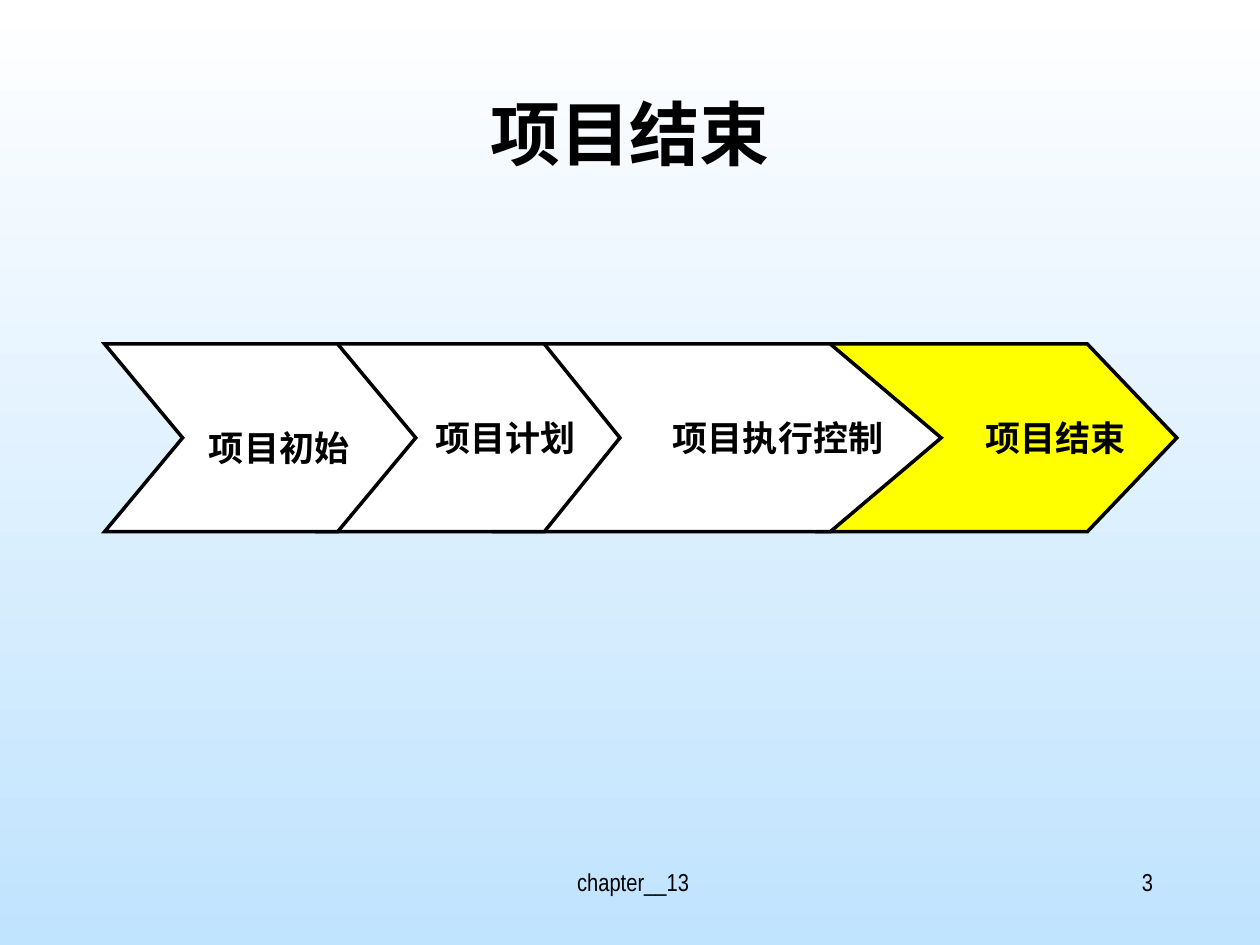
from dataclasses import dataclass

from lxml import etree
from pptx import Presentation
from pptx import util as u
from pptx.dml.color import RGBColor
from pptx.enum import text
from pptx.oxml.ns import qn


@dataclass(frozen=True)
class Theme:
    ink: RGBColor = RGBColor(0, 0, 0)
    plain: RGBColor = RGBColor(255, 255, 255)
    current: RGBColor = RGBColor(255, 255, 0)
    sky: RGBColor = RGBColor(0xC0, 0xE3, 0xFE)
    latin: str = "Arial Narrow"
    chinese: str = "Noto Sans CJK SC"
    title_size: int = 40
    stage_size: int = 20
    footer_size: int = 14
    line_width: float = 2


@dataclass(frozen=True)
class Stage:
    label: str
    left: float
    width: float
    notch: float
    shift: float  # how far the label sits right of the centre
    drop: float = 0  # how far it sits below the middle
    current: bool = False


THEME = Theme()
ROW_TOP, ROW_HEIGHT = 2.73, 1.49
STAGES = [
    Stage("项目初始", 0.83, 2.47, 0.62, 0.15, drop=0.08),
    Stage("项目计划", 2.53, 2.39, 0.6, 0.29),
    Stage("项目执行控制", 3.94, 3.53, 0.88, 0.47),
    Stage("项目结束", 6.5, 2.84, 0.71, 0.46, current=True),
]


def write(shape, words: str, size: int, align, anchor, font: str, bold: bool = False) -> None:
    frame = shape.text_frame
    frame.text = words
    frame.word_wrap = True
    frame.vertical_anchor = anchor
    para = frame.paragraphs[0]
    para.alignment = align
    span = para.runs[0]
    span.font.size = u.Pt(size)
    span.font.bold = bold
    span.font.color.rgb = THEME.ink
    span.font.name = font
    east_asian = etree.SubElement(span.font._element, qn("a:ea"))
    east_asian.set("typeface", THEME.chinese)


def place(shape, left: float, top: float, width: float, height: float) -> None:
    shape.left, shape.top = u.Inches(left), u.Inches(top)
    shape.width, shape.height = u.Inches(width), u.Inches(height)


def draw_background(page) -> None:
    fill = page.background.fill
    fill.gradient()
    fill.gradient_angle = 270
    for stop, position, color in zip(fill.gradient_stops, (0, 1), (THEME.plain, THEME.sky)):
        stop.position = position
        stop.color.rgb = color


def draw_title(page, words: str) -> None:
    title = page.shapes.title
    place(title, 0.75, 0.67, 8.5, 1.25)
    write(title, words, THEME.title_size, text.PP_ALIGN.CENTER,
          text.MSO_ANCHOR.TOP, THEME.chinese, bold=True)


def draw_footer(page, words: str, left: float, width: float, align) -> None:
    box = page.shapes.add_textbox(
        u.Inches(left), u.Inches(6.83), u.Inches(width), u.Inches(0.5))
    write(box, words, THEME.footer_size, align, text.MSO_ANCHOR.TOP, THEME.latin)


def draw_stage(page, stage: Stage) -> None:
    right = stage.left + stage.width
    shoulder = right - stage.notch
    middle, bottom = ROW_TOP + ROW_HEIGHT / 2, ROW_TOP + ROW_HEIGHT
    start, *corners = [(u.Inches(x), u.Inches(y)) for x, y in (
        (stage.left, ROW_TOP), (shoulder, ROW_TOP), (right, middle),
        (shoulder, bottom), (stage.left, bottom), (stage.left + stage.notch, middle),
    )]
    outline = page.shapes.build_freeform(*start)
    outline.add_line_segments(corners, close=True)
    arrow = outline.convert_to_shape()
    arrow.shadow.inherit = False
    arrow.fill.solid()
    arrow.fill.fore_color.rgb = THEME.current if stage.current else THEME.plain
    arrow.line.color.rgb = THEME.ink
    arrow.line.width = u.Pt(THEME.line_width)
    miter = etree.SubElement(arrow.line._get_or_add_ln(), qn("a:miter"))
    miter.set("lim", "800000")
    write(arrow, stage.label, THEME.stage_size, text.PP_ALIGN.CENTER,
          text.MSO_ANCHOR.MIDDLE, THEME.latin, bold=True)
    # An inset moves centred text by half its own size.
    arrow.text_frame.margin_left = u.Inches(0.1 + 2 * stage.shift)
    arrow.text_frame.margin_top = u.Inches(0.05 + 2 * stage.drop)


def main() -> None:
    deck = Presentation()
    deck.slide_width, deck.slide_height = u.Inches(10), u.Inches(7.5)
    page = deck.slides.add_slide(deck.slide_layouts.get_by_name("Title Only"))
    draw_background(page)
    draw_footer(page, "chapter__13", 3.44, 3.17, text.PP_ALIGN.CENTER)
    draw_footer(page, "3", 7.17, 2.08, text.PP_ALIGN.RIGHT)
    draw_title(page, "项目结束")
    for stage in reversed(STAGES):  # earlier stages overlap later ones
        draw_stage(page, stage)
    deck.save("out.pptx")


if __name__ == "__main__":
    main()
